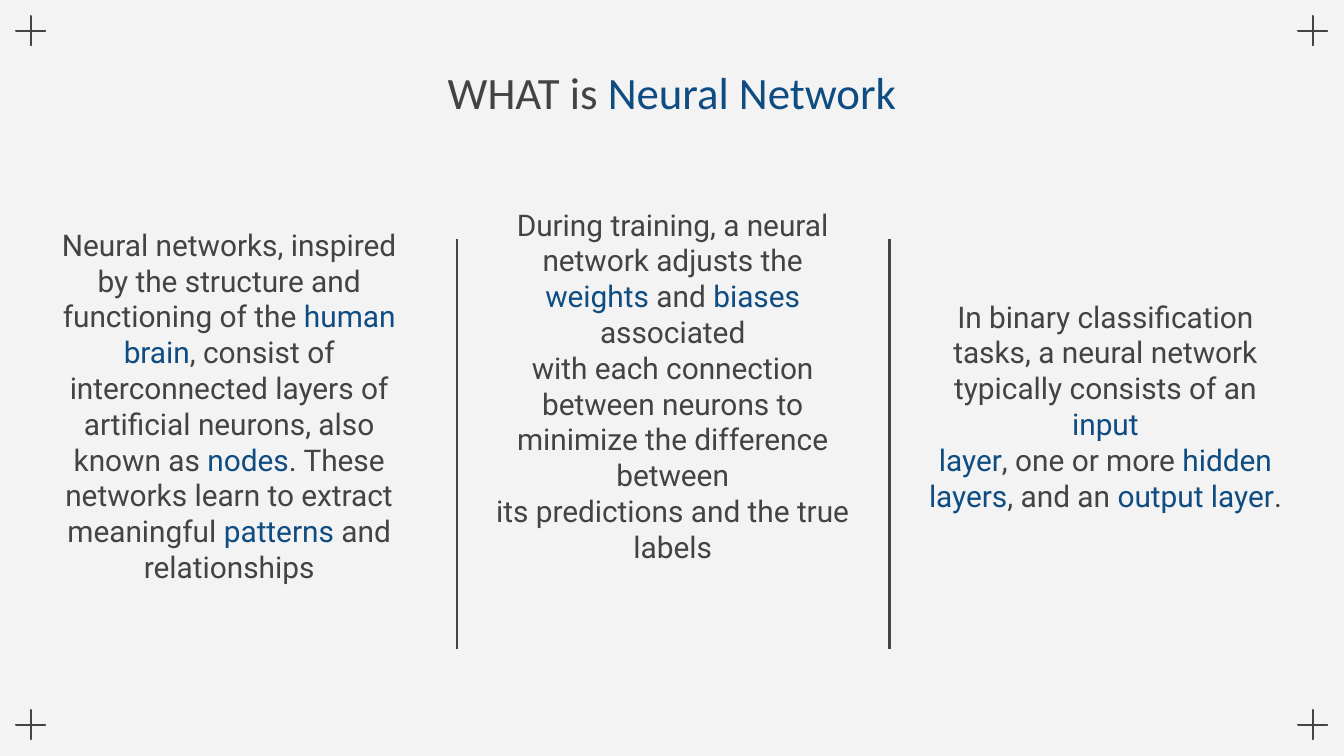
from dataclasses import dataclass
from itertools import product

from lxml import etree
from pptx import Presentation
from pptx import util as u
from pptx.dml.color import RGBColor
from pptx.enum import shapes, text
from pptx.oxml.ns import qn


@dataclass(frozen=True)
class Theme:
    paper: RGBColor = RGBColor(0xF3, 0xF3, 0xF3)
    ink: RGBColor = RGBColor(0x43, 0x43, 0x43)
    accent: RGBColor = RGBColor(0x0F, 0x4C, 0x81)
    title_font: str = "Calibri"
    title_size: int = 24
    body_font: str = "Roboto"
    body_size: int = 16


class SlideBuilder:
    def __init__(self, slide, theme):
        self.slide = slide
        self.theme = theme
        slide.background.fill.solid()
        slide.background.fill.fore_color.rgb = theme.paper

    def plus(self, left, top, size):
        mark = self.slide.shapes.add_shape(
            shapes.MSO_SHAPE.MATH_PLUS, u.Pt(left), u.Pt(top), u.Pt(size), u.Pt(size))
        mark.adjustments[0] = 0.007
        mark.shadow.inherit = False
        mark.fill.background()
        mark.line.color.rgb = self.theme.ink
        mark.line.width = u.Pt(0.75)

    def divider(self, x, top, bottom):
        rule = self.slide.shapes.add_connector(
            shapes.MSO_CONNECTOR.STRAIGHT, u.Pt(x), u.Pt(top), u.Pt(x), u.Pt(bottom))
        rule.line.color.rgb = self.theme.ink
        rule.line.width = u.Pt(1.5)
        etree.SubElement(rule._element.spPr, qn("a:effectLst"))

    def text(self, box, paragraphs, font, size, anchor):
        frame = self.slide.shapes.add_textbox(*map(u.Pt, box)).text_frame
        frame.word_wrap = True
        frame.vertical_anchor = anchor
        frame.margin_left = frame.margin_right = u.Pt(7.2)
        frame.margin_top = frame.margin_bottom = u.Pt(7.2)
        for number, wording in enumerate(paragraphs):
            paragraph = frame.add_paragraph() if number else frame.paragraphs[0]
            paragraph.alignment = text.PP_ALIGN.CENTER
            for position, phrase in enumerate(wording.split("*")):
                if not phrase:
                    continue
                run = paragraph.add_run()
                run.text = phrase
                run.font.name = font
                run.font.size = u.Pt(size)
                run.font.color.rgb = self.theme.accent if position % 2 else self.theme.ink

    def title(self, box, wording):
        self.text(box, [wording], self.theme.title_font, self.theme.title_size,
                  text.MSO_ANCHOR.MIDDLE)

    def column(self, box, paragraphs):
        self.text(box, paragraphs, self.theme.body_font, self.theme.body_size,
                  text.MSO_ANCHOR.BOTTOM)


WIDTH, HEIGHT = 720, 405
MARK_SIZE, MARK_INSET = 21.6, 5.8
COLUMN_WIDTH = 211

COLUMNS = [
    (17.3, 128.2, 192.2, [
        "Neural networks, inspired by the structure and functioning of the *human brain*, "
        "consist of interconnected layers of artificial neurons, also known as *nodes*. "
        "These networks learn to extract meaningful *patterns* and relationships",
    ]),
    (254.9, 139.7, 169.9, [
        "During training, a neural network adjusts the *weights* and *biases* associated",
        "with each connection between neurons to minimize the difference between",
        "its predictions and the true labels",
    ]),
    (486.7, 167, 115.2, [
        "In binary classification tasks, a neural network typically consists of an *input*",
        "*layer*, one or more *hidden layers*, and an *output layer*.",
    ]),
]


def main():
    deck = Presentation()
    deck.slide_width, deck.slide_height = u.Pt(WIDTH), u.Pt(HEIGHT)
    builder = SlideBuilder(deck.slides.add_slide(deck.slide_layouts[6]), Theme())

    far_x, far_y = (side - MARK_INSET - MARK_SIZE for side in (WIDTH, HEIGHT))
    for top, left in product((MARK_INSET, far_y), (MARK_INSET, far_x)):
        builder.plus(left, top, MARK_SIZE)

    builder.title((146.9, 26.6, 426.2, 45.4), "WHAT is *Neural Network*")
    for x in (244.8, 476.6):
        builder.divider(x, 128.2, 347.8)
    for left, top, height, paragraphs in COLUMNS:
        builder.column((left, top, COLUMN_WIDTH, height), paragraphs)

    deck.save("out.pptx")


if __name__ == "__main__":
    main()
